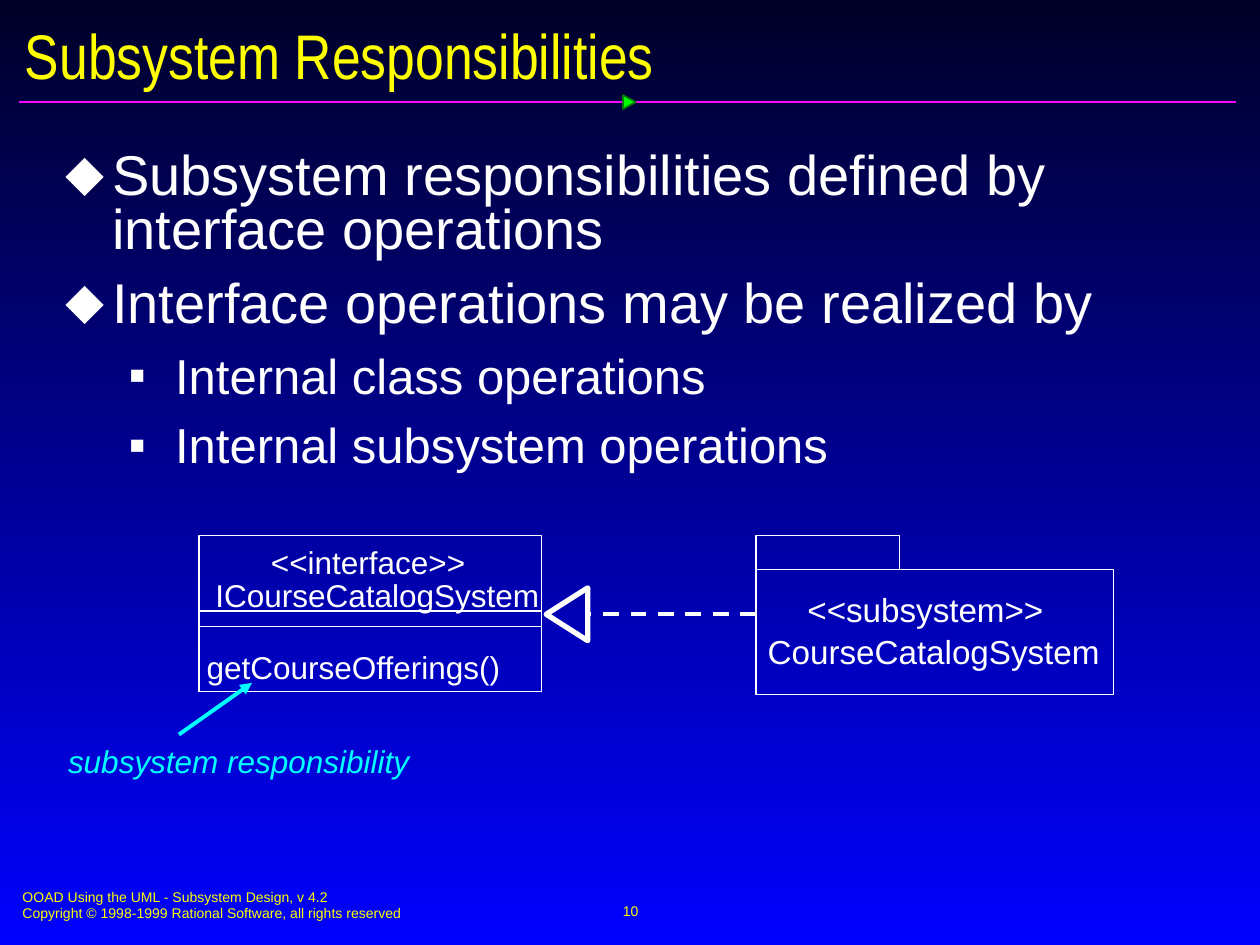
from lxml.etree import SubElement
from pptx import Presentation
from pptx.dml.color import RGBColor
from pptx.enum.dml import MSO_LINE_DASH_STYLE as Dash
from pptx.enum.shapes import MSO_CONNECTOR as Connector, MSO_SHAPE as Preset
from pptx.enum.text import MSO_ANCHOR as Anchor, MSO_AUTO_SIZE as AutoSize, PP_ALIGN as Align
from pptx.oxml.ns import qn
from pptx.util import Inches, Pt

COLORS = {
    "night": "000028", "blue": "0000FF", "white": "FFFFFF", "yellow": "FFFF00",
    "cyan": "00FFFF", "magenta": "FF01FF", "lime": "00FF00", "green": "037C03",
}
TITLE = "Subsystem Responsibilities"
BULLETS = [
    (0, "Subsystem responsibilities defined by interface operations"),
    (0, "Interface operations may be realized by"),
    (1, "Internal class operations"),
    (1, "Internal subsystem operations"),
]
LEVELS = [
    {"mark": "⬥", "size": 32, "left": 0.37, "spacing": 0.8, "before": 12},
    {"mark": "▪", "size": 28, "left": 0.87, "spacing": 0.87, "before": 10.5},
]
HANGING = 0.37
FOOTER = [
    "OOAD Using the UML - Subsystem Design, v 4.2",
    "Copyright © 1998-1999 Rational Software, all rights reserved",
]
PAGE_NUMBER = "10"
CALLOUT = "subsystem responsibility"

COLUMNS, ROWS = 100, 75
DIAGRAM_TOP = 42.5
INTERFACE = {"left": 15.8, "width": 27.2, "bottom": 54.9, "tops": [DIAGRAM_TOP, 48.5, 49.7]}
PACKAGE = {"left": 60, "body": (45.2, 28.4, 9.9), "tab_width": 11.4}
CLASS_LABELS = [
    ("<<interface>>", (21.5, 43.1, 15.8, 3), 18, Align.LEFT),
    ("ICourseCatalogSystem", (17.1, 45.7, 26.1, 3), 18, Align.LEFT),
    ("getCourseOfferings()", (16.4, 51.4, 23.8, 3), 18, Align.LEFT),
    ("<<subsystem>>", (63.9, 46.8, 19.1, 3.2), 19, Align.CENTER),
    ("CourseCatalogSystem", (60.7, 50.1, 26.8, 3.2), 19, Align.CENTER),
]

presentation = Presentation()
presentation.slide_width, presentation.slide_height = Inches(10), Inches(7.5)
slide = presentation.slides.add_slide(presentation.slide_layouts[6])
shapes = slide.shapes


def color(name):
    return RGBColor.from_string(COLORS[name])


def place(*cells):
    steps = presentation.slide_width / COLUMNS, presentation.slide_height / ROWS
    return [round(cell * steps[index % 2]) for index, cell in enumerate(cells)]


def paint_background():
    fill = slide.background.fill
    fill.gradient()
    fill.gradient_angle = 270
    for stop, position, name in zip(fill.gradient_stops, (0, 1), ("night", "blue")):
        stop.position = position
        stop.color.rgb = color(name)


def add_outline(preset, cells, line, width, fill=None, rotation=0):
    shape = shapes.add_shape(preset, *place(*cells))
    shape.shadow.inherit = False
    shape.rotation = rotation
    shape.line.color.rgb = color(line)
    shape.line.width = Pt(width)
    if fill:
        shape.fill.solid()
        shape.fill.fore_color.rgb = color(fill)
    else:
        shape.fill.background()


def add_line(cells, name, width, dash=None, arrow=False):
    line = shapes.add_connector(Connector.STRAIGHT, *place(*cells))
    line.line.color.rgb = color(name)
    line.line.width = Pt(width)
    if dash:
        line.line.dash_style = dash
    if arrow:
        SubElement(line.line._get_or_add_ln(), qn("a:tailEnd"), type="triangle")
    SubElement(line._element.spPr, qn("a:effectLst"))


def add_box(cells, insets=(0.1, 0.05), anchor=Anchor.TOP):
    frame = shapes.add_textbox(*place(*cells)).text_frame
    frame.word_wrap = True
    frame.vertical_anchor = anchor
    frame.margin_left = frame.margin_right = Inches(insets[0])
    frame.margin_top = frame.margin_bottom = Inches(insets[1])
    return frame


def add_paragraph(frame, index):
    return frame.add_paragraph() if index else frame.paragraphs[0]


def add_run(paragraph, text, size, name, font="Arial", italic=None):
    run = paragraph.add_run()
    run.text = text
    run.font.name, run.font.size, run.font.italic = font, Pt(size), italic
    run.font.color.rgb = color(name)


def add_bullet(paragraph, level):
    style = LEVELS[level]
    paragraph.level = level
    properties = paragraph._p.get_or_add_pPr()
    properties.set("marL", str(Inches(style["left"])))
    properties.set("indent", str(-Inches(HANGING)))
    bullet_color = SubElement(properties, qn("a:buClr"))
    SubElement(bullet_color, qn("a:srgbClr"), val=COLORS["white"])
    SubElement(properties, qn("a:buFont"), typeface="Arial")
    SubElement(properties, qn("a:buChar"), char=style["mark"])
    paragraph.line_spacing = style["spacing"]


def add_frame():
    add_line((1.5, 8.1, 98.1, 8.1), "magenta", 1)
    add_outline(Preset.ISOSCELES_TRIANGLE, (49.4, 7.6, 1.1, 1), "green", 1, "lime", 90)
    footer = add_box((0.8, 70, 51, 3.7))
    for index, text in enumerate(FOOTER):
        add_run(add_paragraph(footer, index), text, 8, "yellow")
    number = add_box((34.2, 69.8, 31.7, 5), anchor=Anchor.MIDDLE).paragraphs[0]
    number.alignment = Align.CENTER
    add_run(number, PAGE_NUMBER, 8, "yellow")


def add_label(text, cells, size, alignment):
    frame = add_box(cells, (0, 0))
    frame.word_wrap = False
    frame.auto_size = AutoSize.SHAPE_TO_FIT_TEXT
    frame.paragraphs[0].alignment = alignment
    add_run(frame.paragraphs[0], text, size, "white")


def add_diagram():
    left, (top, width, height) = PACKAGE["left"], PACKAGE["body"]
    boxes = [(left, top, width, height),
             (left, DIAGRAM_TOP, PACKAGE["tab_width"], top - DIAGRAM_TOP)]
    boxes += [(INTERFACE["left"], top, INTERFACE["width"], INTERFACE["bottom"] - top)
              for top in INTERFACE["tops"]]
    for cells in boxes:
        add_outline(Preset.RECTANGLE, cells, "white", 0)
    for label in CLASS_LABELS:
        add_label(*label)
    add_line((left, 48.7, 46.7, 48.7), "white", 2.25, Dash.DASH)
    add_outline(Preset.ISOSCELES_TRIANGLE, (42.9, 47.1, 4.2, 3.3), "white", 3, rotation=270)
    callout = add_box((4.2, 58.3, 35, 4.2), (0.12, 0.06))
    add_run(callout.paragraphs[0], CALLOUT, 18, "cyan", italic=True)
    add_line((14.2, 58.3, 20, 54.2), "cyan", 2.25, arrow=True)


def add_content():
    title = add_box((1, 1.4, 98.4, 5.8), anchor=Anchor.MIDDLE)
    add_run(title.paragraphs[0], TITLE, 36, "yellow", "Arial Narrow")
    body = add_box((4, 11.5, 92.9, 55.2), (0.12, 0.06))
    for index, (level, text) in enumerate(BULLETS):
        paragraph = add_paragraph(body, index)
        add_bullet(paragraph, level)
        if index:
            paragraph.space_before = Pt(LEVELS[level]["before"])
        add_run(paragraph, text, LEVELS[level]["size"], "white")


def main():
    """Build the subsystem responsibilities slide."""
    paint_background()
    add_frame()
    add_diagram()
    add_content()
    presentation.save("out.pptx")


if __name__ == "__main__":
    main()
